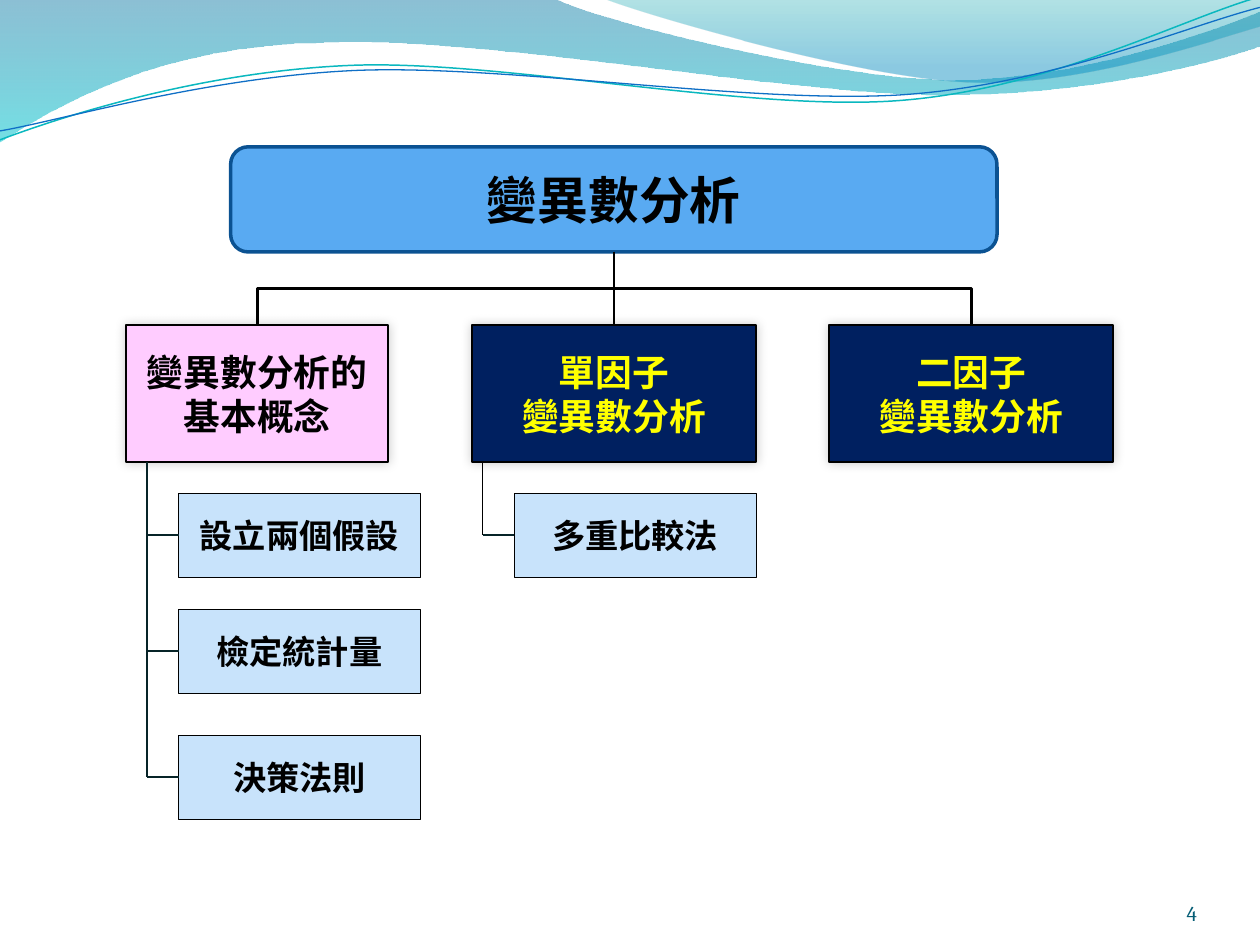
from dataclasses import dataclass
from typing import Optional

import pptx
import pptx.dml.color
import pptx.enum.shapes
import pptx.enum.text
import pptx.oxml
import pptx.oxml.ns
import pptx.util
from lxml import etree

Cm, Pt = pptx.util.Cm, pptx.util.Pt
qn = pptx.oxml.ns.qn
SHAPE = pptx.enum.shapes.MSO_SHAPE
CONNECTOR = pptx.enum.shapes.MSO_CONNECTOR
ALIGN = pptx.enum.text.PP_ALIGN
ANCHOR = pptx.enum.text.MSO_ANCHOR
CJK = "Noto Sans CJK SC"
TOP, LEFT, BOTTOM = 0, 1, 2


@dataclass
class Shadow:
    opacity: int
    blur: float
    dist: float
    angle: int


@dataclass
class Style:
    fill: str
    line: str
    weight: float
    size: int
    color: str = "000000"
    margins: tuple = (0.1, 0.08)
    preset: int = SHAPE.RECTANGLE
    shadow: Optional[Shadow] = None


@dataclass
class Branch:
    text: str
    left: float
    width: float
    style: Style
    child_left: float = 0
    children: tuple = ()
    spine: tuple = ("072428", 1.25)


@dataclass
class Wave:
    """Segments hold one point (straight) or three points (Bezier curve)."""
    start: tuple
    segments: list
    stops: tuple = ()
    line: tuple = ()


BOX_SHADOW = Shadow(20, 6, 0, 315)
ROOT = Style("59AAF2", "0B5292", 2, 29, margins=(0.25, 0.13), preset=SHAPE.ROUNDED_RECTANGLE)
CONCEPT = Style("FFCCFF", "000000", 1.25, 21, shadow=BOX_SHADOW)
FACTOR = Style("002060", "000000", 1.25, 21, "FFFF00", shadow=BOX_SHADOW)
TOPIC = Style("C8E3FB", "000000", 0.25, 19, margins=(0.08, 0.08))

BRANCH_TOP, BRANCH_HEIGHT = 6.56, 2.75
CHILD_WIDTH, CHILD_HEIGHT, CHILD_INDENT = 4.87, 1.69, 0.64
CHILD_TOPS = (9.94, 12.28, 14.82)
BRANCHES = [
    Branch("變異數分析的基本概念", 2.54, 5.29, CONCEPT, 3.6,
           ("設立兩個假設", "檢定統計量", "決策法則")),
    Branch("單因子\n變異數分析", 9.52, 5.72, FACTOR, 10.37, ("多重比較法",), ("000000", 0.75)),
    Branch("二因子\n變異數分析", 16.72, 5.72, FACTOR),
]
WAVES = [
    Wave((0, -0.03), [
        (11.18, -0.03), (12.09, 0.43, 16.87, 1.6, 19.25, 1.6),
        (21.67, 1.6, 24.33, 0.66, 25.4, 0.23), (25.43, 0.91),
        (24.97, 1.12, 22.1, 1.93, 18.95, 1.91), (15.8, 1.91, 9.7, 0.71, 6.53, 0.86),
        (3.25, 0.89, 1.17, 2.11, -0.03, 2.87)],
        stops=((0, "0074A1", 45), (1, "00C6CF", 55))),
    Wave((12.17, -0.03), [
        (12.93, 0.28, 17.32, 1.57, 19.53, 1.65),
        (21.74, 1.75, 24.41, 0.81, 25.4, 0.53), (25.4, 0)],
        stops=((0, "00A1A9", 30), (0.8, "008BBF", 45))),
    Wave((0, 2.82), [
        (1.22, 2.36, 4.01, 1.45, 7.04, 1.32), (10.03, 1.19, 15.06, 2.26, 18.11, 2.03),
        (21.16, 1.8, 23.83, 0.38, 25.35, -0.05)], line=("0AB8BF", 0.85)),
    Wave((0, 2.64), [
        (1.19, 2.44, 4.17, 1.55, 7.19, 1.42), (10.24, 1.3, 15.16, 2.11, 18.21, 1.91),
        (21.23, 1.7, 23.9, 0.53, 25.4, 0.15)], line=("0F6FC6", 0.75)),
]


def rgb(value: str):
    return pptx.dml.color.RGBColor.from_string(value)


def set_all(obj, **values) -> None:
    for name, value in values.items():
        setattr(obj, name, value)


def set_line(s, color: str, weight: float) -> None:
    s.line.color.rgb = rgb(color)
    s.line.width = Pt(weight)


def set_alpha(clr, percent: int) -> None:
    etree.SubElement(clr, qn("a:alpha")).set("val", str(percent * 1000))


def add_shadow(effects, shadow: Shadow) -> None:
    outer = etree.SubElement(effects, qn("a:outerShdw"), {
        "blurRad": str(Pt(shadow.blur)), "dist": str(Pt(shadow.dist)),
        "dir": str(shadow.angle * 60000), "algn": "ctr", "rotWithShape": "0"})
    set_alpha(etree.SubElement(outer, qn("a:srgbClr"), {"val": "000000"}), shadow.opacity)


def write_text(s, text: str, size: int, color: str, font: str, bold: bool, align, anchor,
               margins: tuple) -> None:
    tf = s.text_frame
    x, y = map(Cm, margins)
    set_all(tf, text=text, word_wrap=True, vertical_anchor=anchor,
            margin_left=x, margin_right=x, margin_top=y, margin_bottom=y)
    for p in tf.paragraphs:
        p.alignment = align
        for r in p.runs:
            set_all(r.font, size=Pt(size), bold=bold, name=font)
            r.font.color.rgb = rgb(color)
            etree.SubElement(r.font._element, qn("a:ea")).set("typeface", font)


def add_box(shapes, text: str, left: float, top: float, width: float, height: float,
            style: Style):
    sp = shapes.add_shape(style.preset, Cm(left), Cm(top), Cm(width), Cm(height))
    sp.shadow.inherit = False
    sp.fill.solid()
    sp.fill.fore_color.rgb = rgb(style.fill)
    set_line(sp, style.line, style.weight)
    if style.shadow:
        add_shadow(sp.element.spPr.find(qn("a:effectLst")), style.shadow)
    write_text(sp, text, style.size, style.color, CJK, True, ALIGN.CENTER, ANCHOR.MIDDLE,
               style.margins)
    return sp


def add_line(shapes, start: tuple, end: tuple, color: str, weight: float, kind=CONNECTOR.STRAIGHT):
    s = shapes.add_connector(kind, *map(Cm, start + end))
    set_line(s, color, weight)
    etree.SubElement(s.element.spPr, qn("a:effectLst"))
    return s


def add_elbow(shapes, parent, child) -> None:
    """Join parent bottom to child top, leaving the parent vertically."""
    s = add_line(shapes, (0, 0), (1, 1), "000000", 1.5, CONNECTOR.ELBOW)
    s.begin_connect(parent, BOTTOM)
    s.end_connect(child, TOP)
    x1, y1, x2, y2 = s.begin_x, s.begin_y, s.end_x, s.end_y
    drop, span = y2 - y1, abs(x2 - x1)
    set_all(s, left=(x1 + x2 - drop) // 2, top=(y1 + y2 - span) // 2, width=drop, height=span)
    to_right = x2 > x1
    xfrm = s.element.spPr.find(qn("a:xfrm"))
    xfrm.set("rot", str((270 if to_right else 90) * 60000))
    xfrm.set("flipH", str(int(to_right)))


def bend_segments(sp, segments: list) -> None:
    """Turn the straight steps that have control points into Bezier curves."""
    steps = list(sp.element.spPr.iter(qn("a:lnTo")))
    for step, segment in zip(steps, segments):
        if len(segment) == 2:
            continue
        curve = etree.Element(qn("a:cubicBezTo"))
        for x, y in zip(segment[::2], segment[1::2]):
            etree.SubElement(curve, qn("a:pt"), {
                "x": str(Cm(x) - sp.left), "y": str(Cm(y) - sp.top)})
        step.getparent().replace(step, curve)


def add_wave(shapes, wave: Wave) -> None:
    pen = shapes.build_freeform(*map(Cm, wave.start))
    ends = [(Cm(segment[-2]), Cm(segment[-1])) for segment in wave.segments]
    pen.add_line_segments(ends, close=bool(wave.stops))
    sp = pen.convert_to_shape()
    bend_segments(sp, wave.segments)
    sp.shadow.inherit = False
    if wave.line:
        sp.fill.background()
        set_line(sp, *wave.line)
        return
    sp.line.fill.background()
    sp.fill.gradient()
    sp.fill.gradient_angle = 270
    for stop, (position, color, _) in zip(sp.fill.gradient_stops, wave.stops):
        stop.position = position
        stop.color.rgb = rgb(color)
    for clr, (_, _, opacity) in zip(sp.element.spPr.iter(qn("a:srgbClr")), wave.stops):
        set_alpha(clr, opacity)


def add_branch(shapes, root, branch: Branch) -> None:
    box = add_box(shapes, branch.text, branch.left, BRANCH_TOP, branch.width, BRANCH_HEIGHT,
                  branch.style)
    add_elbow(shapes, root, box)
    spine_x = branch.child_left - CHILD_INDENT
    for text, top in zip(branch.children, CHILD_TOPS):
        child = add_box(shapes, text, branch.child_left, top, CHILD_WIDTH, CHILD_HEIGHT, TOPIC)
        middle = top + CHILD_HEIGHT / 2
        s = add_line(shapes, (spine_x, middle), (branch.child_left, middle), "072428", 1.25)
        s.end_connect(child, LEFT)
    if branch.children:
        add_line(shapes, (spine_x, BRANCH_TOP + BRANCH_HEIGHT), (spine_x, middle), *branch.spine)


def main() -> None:
    prs = pptx.Presentation()
    set_all(prs, slide_width=Cm(25.4), slide_height=Cm(19.05))
    shapes = prs.slides.add_slide(prs.slide_layouts[6]).shapes
    for wave in WAVES:
        add_wave(shapes, wave)
    root = add_box(shapes, "變異數分析", 4.65, 2.96, 15.45, 2.12, ROOT)
    for branch in BRANCHES:
        add_branch(shapes, root, branch)
    number = shapes.add_textbox(Cm(22.02), Cm(17.65), Cm(2.11), Cm(1.02))
    write_text(number, "4", 12, "045D75", "Cambria", False, ALIGN.RIGHT, ANCHOR.BOTTOM, (0, 0))
    prs.save("out.pptx")


if __name__ == "__main__":
    main()
